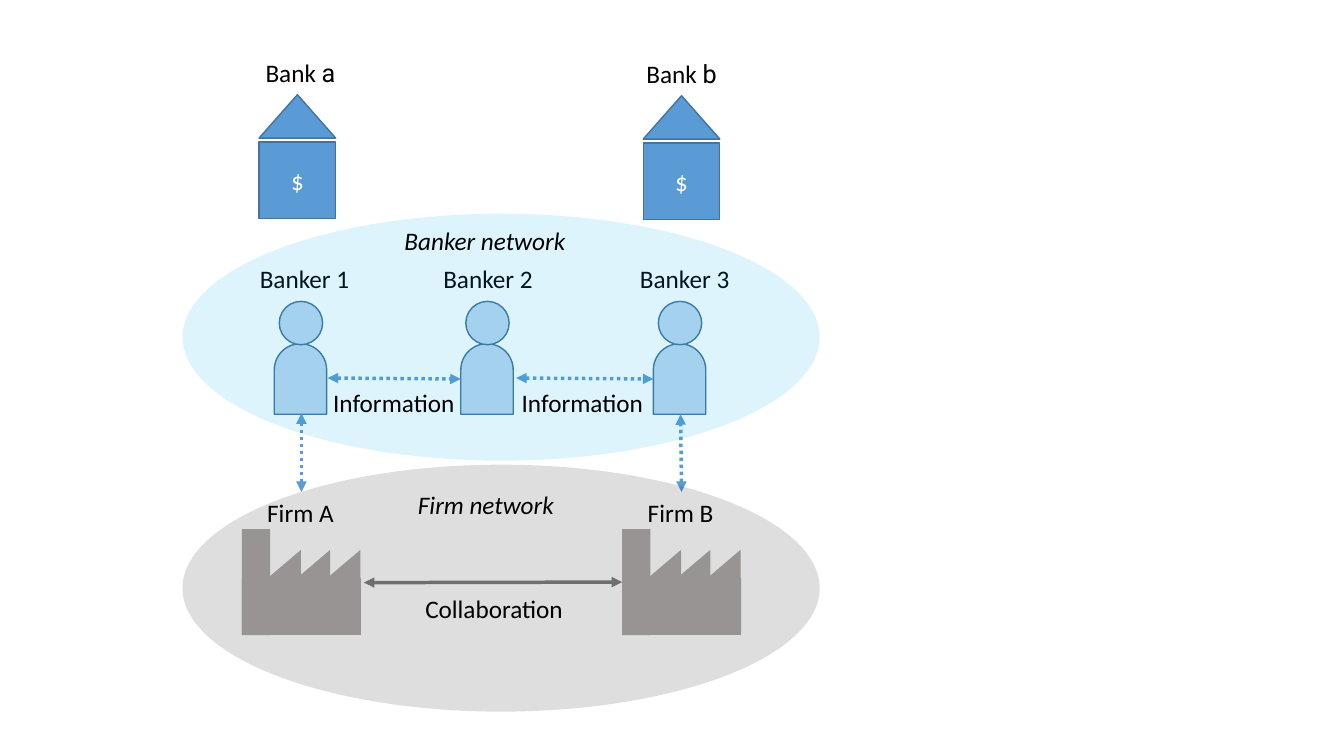
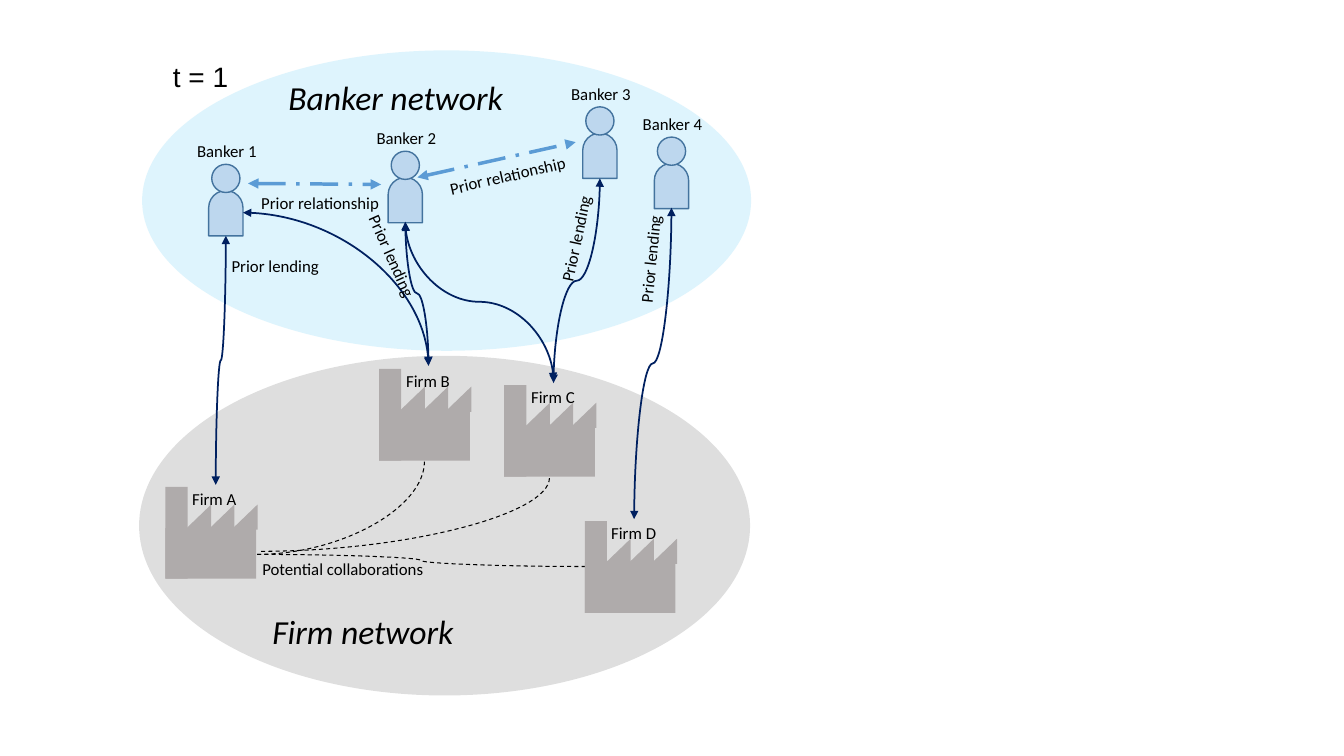
from dataclasses import dataclass

from lxml.etree import SubElement
from pptx import Presentation
from pptx.dml.color import RGBColor
from pptx.enum.dml import MSO_LINE as Dash
from pptx.enum.shapes import MSO_CONNECTOR as Link, MSO_SHAPE as Shape
from pptx.enum.text import MSO_ANCHOR as Anchor, PP_ALIGN as Align
from pptx.oxml.ns import qn
from pptx.util import Emu, Pt

EMU_PER_PX = 9144
BLACK, WHITE = "000000", "FFFFFF"
BLUE, PALE_BLUE, EDGE, NAVY = "5B9BD5", "BDD7EE", "43739E", "002060"
SKY, GREY, DARK_GREY = "00B0F0", "AFABAB", "808080"


def px(length):
    return Emu(round(length * EMU_PER_PX))


def rgb(hex_code):
    return RGBColor.from_string(hex_code)


@dataclass
class Person:
    """Sizes of a banker; offsets start at the top left of the body."""
    width: int
    height: int
    head: int
    head_dx: int
    head_dy: int
    label_dy: int
    label_width: int
    label_height: int
    size: int


@dataclass
class Factory:
    """Sizes of a firm; offsets start at the top left of the tower."""
    width: int
    height: int
    tower: int
    base_dy: int
    tooth: tuple
    teeth_dx: tuple
    tooth_dy: int
    label: tuple
    size: int


LARGE_PERSON = Person(52, 70, 43, 5, -42, -85, 118, 40, 18)
SMALL_PERSON = Person(34, 45, 28, 3, -26, -54, 85, 30, 12)
LARGE_FACTORY = Factory(118, 105, 28, 48, (28, 33), (28, 57, 87), 18,
                        (-21, -37, 158, 40), 18)
SMALL_FACTORY = Factory(90, 91, 22, 41, (25, 26), (20, 43, 66), 17,
                        (-12, -3, 121, 30), 12)


class Diagram:
    """Holds the presentation, the current slide and the drawing style."""

    def __init__(self):
        self.deck = Presentation()
        self.deck.slide_width, self.deck.slide_height = px(1333), px(750)
        self.shapes = None

    def new_slide(self):
        self.shapes = self.deck.slides.add_slide(self.deck.slide_layouts[6]).shapes

    def shape(self, kind, x, y, w, h, fill, edge=None):
        shape = self.shapes.add_shape(kind, px(x), px(y), px(w), px(h))
        shape.shadow.inherit = False
        shape.fill.solid()
        shape.fill.fore_color.rgb = rgb(fill)
        if edge:
            shape.line.color.rgb = rgb(edge)
            shape.line.width = Pt(1)
        else:
            shape.line.fill.background()
        return shape

    def set_text(self, frame, content, size, color=BLACK, font="Calibri", italic=False):
        paragraph = frame.paragraphs[0]
        paragraph.text = content
        paragraph.alignment = Align.CENTER
        paragraph.font.name = font
        paragraph.font.size = Pt(size)
        paragraph.font.italic = italic
        paragraph.font.color.rgb = rgb(color)
        return paragraph

    def label(self, content, x, y, w, h, size, turn=0, **style):
        box = self.shapes.add_textbox(px(x), px(y), px(w), px(h))
        box.rotation = turn
        box.text_frame.word_wrap = True
        return self.set_text(box.text_frame, content, size, **style)

    def network(self, x, y, w, h, color):
        """Draw a translucent ellipse behind or over the members of a network."""
        ellipse = self.shape(Shape.OVAL, x, y, w, h, color)
        tint = ellipse.element.spPr.find(qn("a:solidFill")).find(qn("a:srgbClr"))
        SubElement(tint, qn("a:alpha"), val="13000")

    def bank(self, x, y, letter, label_x, label_width):
        self.shape(Shape.ISOSCELES_TRIANGLE, x, y, 76, 43, BLUE, EDGE)
        vault = self.shape(Shape.RECTANGLE, x, y + 47, 76, 76, BLUE, EDGE)
        vault.text_frame.vertical_anchor = Anchor.MIDDLE
        self.set_text(vault.text_frame, "$", 18, WHITE)
        name = self.label("Bank ", label_x, y - 42, label_width, 40, 18)
        letter_run = name.add_run()
        letter_run.text = letter
        letter_run.font.name = "Roboto"

    def banker(self, name, x, y, person, label_shift=0):
        body = self.shape(Shape.ROUND_2_SAME_RECTANGLE, x, y,
                          person.width, person.height, PALE_BLUE, EDGE)
        body.adjustments[0] = 0.5
        self.shape(Shape.FLOWCHART_CONNECTOR, x + person.head_dx, y + person.head_dy,
                   person.head, person.head, PALE_BLUE, EDGE)
        label_x = x + (person.width - person.label_width) / 2 + label_shift
        self.label(name, label_x, y + person.label_dy,
                   person.label_width, person.label_height, person.size)

    def firm(self, name, x, y, factory):
        """Draw a factory with its name and return the tower."""
        self.shape(Shape.RECTANGLE, x, y + factory.base_dy, factory.width,
                   factory.height - factory.base_dy, GREY)
        tower = self.shape(Shape.RECTANGLE, x, y, factory.tower, factory.height, GREY)
        for dx in factory.teeth_dx:
            tooth = self.shape(Shape.RIGHT_TRIANGLE, x + dx, y + factory.tooth_dy,
                               *factory.tooth, GREY)
            tooth.rotation = 270
        dx, dy, w, h = factory.label
        self.label(name, x + dx, y + dy, w, h, factory.size)
        return tower

    def link(self, start, end, color, width, dash=None, arrows=True, kind=Link.STRAIGHT):
        line = self.shapes.add_connector(kind, *map(px, start + end))
        line.line.color.rgb = rgb(color)
        line.line.width = Pt(width)
        if dash:
            line.line.dash_style = dash
        properties = line.element.spPr
        if arrows:
            for tip in ("a:headEnd", "a:tailEnd"):
                SubElement(properties.find(qn("a:ln")), qn(tip), type="triangle")
        SubElement(properties, qn("a:effectLst"))
        return line

    def make_quarter(self, line):
        """Turn an S-shaped connector into a single bend."""
        line.element.spPr.find(qn("a:prstGeom")).set("prst", "curvedConnector2")

    def lending(self, firm, banker, quarter=False):
        """Draw a curve that leaves the firm upwards and ends at the banker."""
        (x1, y1), (x2, y2) = firm, banker
        center_x, center_y = (x1 + x2) / 2, (y1 + y2) / 2
        rise, run = (y1 - y2) / 2, (x2 - x1) / 2
        curve = self.link((center_x - rise, center_y - run),
                          (center_x + rise, center_y + run),
                          NAVY, 1.25, kind=Link.CURVE)
        curve.element.spPr.find(qn("a:xfrm")).set("rot", str(270 * 60000))
        if quarter:
            self.make_quarter(curve)

    def collaboration(self, start, end, quarter=False):
        curve = self.link(start, end, BLACK, 0.75, Dash.DASH, False, Link.CURVE)
        if quarter:
            self.make_quarter(curve)


def draw_information_flow(diagram):
    diagram.new_slide()
    diagram.bank(257, 94, "a", 219, 158)
    diagram.bank(638, 95, "b", 617, 118)
    for number, x, shift in ((1, 272, 4), (2, 457, 1), (3, 648, 5)):
        diagram.banker(f"Banker {number}", x, 341, LARGE_PERSON, shift)
    diagram.firm("Firm A", 240, 525, LARGE_FACTORY)
    tower_b = diagram.firm("Firm B", 617, 525, LARGE_FACTORY)

    for start, end in (((299, 488), (299, 410)), ((676, 488), (675, 411)),
                       ((325, 375), (457, 376)), ((512, 375), (648, 376))):
        diagram.link(start, end, BLUE, 2.5, Dash.ROUND_DOT)
    shared_work = diagram.link((361, 578), (617, 578), DARK_GREY, 2.5)
    shared_work.end_connect(tower_b, 1)

    diagram.network(181, 212, 632, 245, SKY)
    diagram.network(181, 461, 632, 245, BLACK)
    diagram.label("Collaboration", 386, 584, 208, 40, 18)
    for x in (318, 505):
        diagram.label("Information", x, 379, 145, 40, 18)
    diagram.label("Banker network", 389, 219, 184, 40, 18, italic=True)
    diagram.label("Firm network", 390, 481, 184, 40, 18, italic=True)


def draw_prior_relationships(diagram):
    diagram.new_slide()
    diagram.network(141, 50, 604, 298, SKY)
    diagram.network(138, 353, 606, 337, BLACK)
    diagram.label("Banker network", 254, 71, 277, 50, 24, italic=True)
    diagram.label("Firm network", 232, 601, 256, 50, 24, italic=True)
    diagram.label("t = 1", 138, 54, 122, 44, 20, font="Arial")

    bankers = ((207, 189), (385, 176), (578, 132), (649, 162))
    for number, (x, y) in enumerate(bankers, 1):
        diagram.banker(f"Banker {number}", x, y, SMALL_PERSON, 1)

    for start, end in (((246, 182), (378, 183)), ((414, 176), (571, 141))):
        diagram.link(start, end, BLUE, 2.5, Dash.LONG_DASH_DOT)
    for firm, banker in (((214, 481), (224, 234)), ((425, 362), (402, 220)),
                         ((549, 380), (595, 177)), ((629, 515), (666, 206)),
                         ((549, 378), (402, 221))):
        diagram.lending(firm, banker)
    diagram.lending((425, 363), (241, 211), quarter=True)

    diagram.collaboration((255, 550), (421, 458), quarter=True)
    diagram.collaboration((259, 547), (545, 474), quarter=True)
    diagram.collaboration((255, 550), (580, 562))

    firms = (("A", 164, 483), ("B", 376, 366), ("C", 500, 382), ("D", 580, 517))
    for letter, x, y in firms:
        diagram.firm(f"Firm {letter}", x, y, SMALL_FACTORY)

    diagram.label("Prior relationship", 212, 186, 211, 30, 12)
    diagram.label("Prior relationship", 376, 159, 255, 31, 12, 347.1)
    for x, y, turn in ((169, 249, 0), (285, 239, 65.9),
                       (467, 222, 281.9), (541, 242, 275.7)):
        diagram.label("Prior lending", x, y, 208, 30, 12, turn)
    diagram.label("Potential collaborations", 236, 549, 208, 30, 12)


def main():
    diagram = Diagram()
    draw_information_flow(diagram)
    draw_prior_relationships(diagram)
    diagram.deck.save("out.pptx")


if __name__ == "__main__":
    main()
